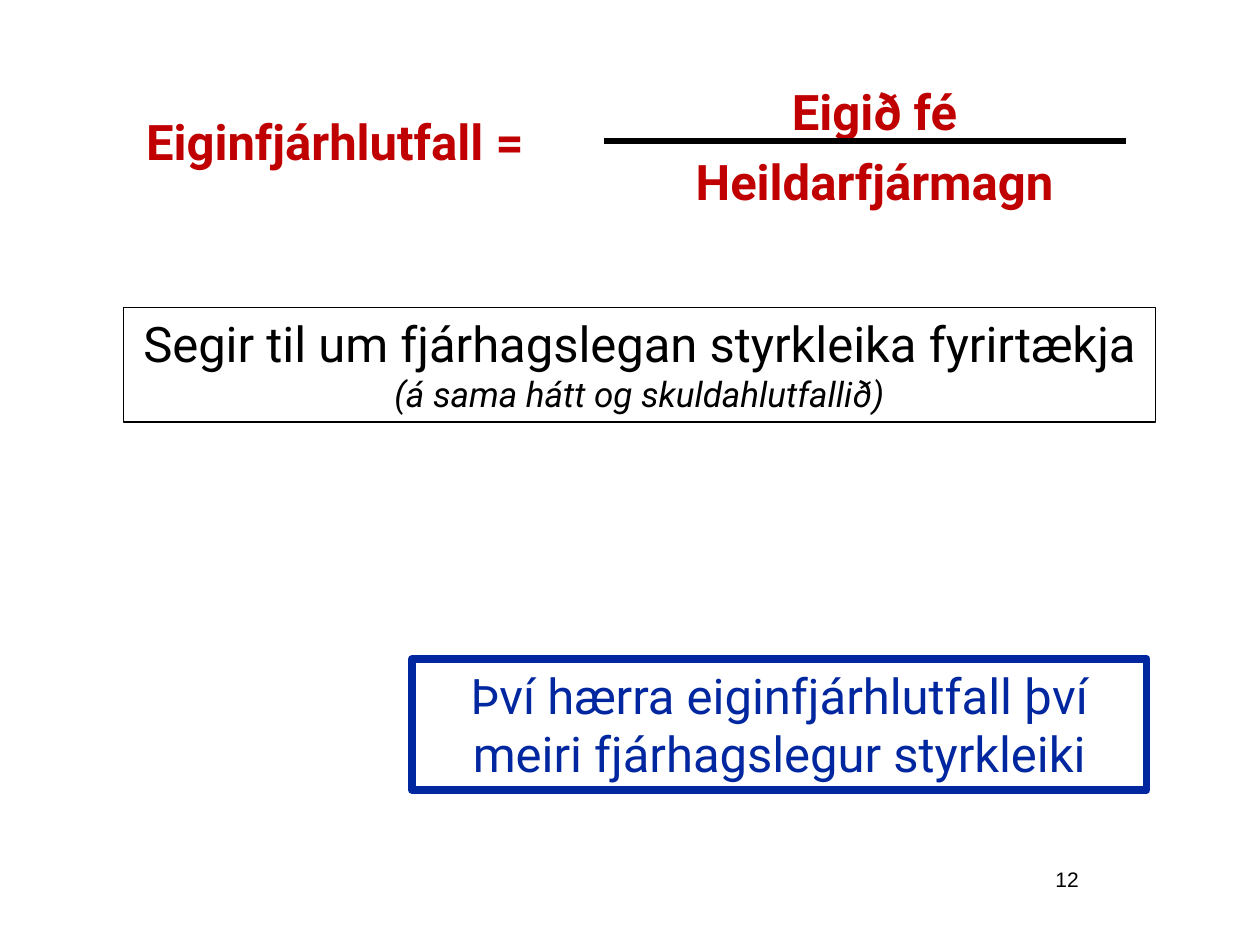
from dataclasses import dataclass

from lxml.etree import SubElement
from pptx import Presentation
from pptx.dml.color import RGBColor
from pptx.enum.shapes import MSO_CONNECTOR, MSO_SHAPE
from pptx.enum.text import MSO_ANCHOR as Anchor, MSO_AUTO_SIZE as AutoSize, PP_ALIGN as Align
from pptx.oxml.ns import qn
from pptx.util import Inches, Pt


@dataclass(frozen=True)
class Theme:
    formula: RGBColor = RGBColor(0xC0, 0x00, 0x00)
    accent: RGBColor = RGBColor(0x00, 0x27, 0x9F)
    ink: RGBColor = RGBColor(0x00, 0x00, 0x00)
    paper: RGBColor = RGBColor(0xFF, 0xFF, 0xFF)
    font: str = "Roboto"
    number_font: str = "Arial"
    main: int = 28
    aside: int = 20
    number: int = 12


theme = Theme()


def add_text(para, text, color=theme.ink, size=theme.main, font=theme.font,
             bold=False, italic=False, align=Align.CENTER):
    para.alignment = align
    span = para.add_run()
    span.text = text
    span.font.name = font
    span.font.size = Pt(size)
    span.font.bold = bold
    span.font.italic = italic
    span.font.color.rgb = color


def set_frame(box, anchor=Anchor.TOP, grow=True):
    """Wrap the text of a box and return its first paragraph."""
    frame = box.text_frame
    frame.word_wrap = True
    frame.auto_size = AutoSize.SHAPE_TO_FIT_TEXT if grow else AutoSize.NONE
    frame.vertical_anchor = anchor
    return frame.paragraphs[0]


deck = Presentation()
deck.slide_width, deck.slide_height = Inches(10), Inches(7.5)
page = deck.slides.add_slide(deck.slide_layouts[5])

# Formula: name on the left, fraction on the right
title = page.shapes.title
title.left, title.top = Inches(1.06), Inches(0.7)
title.width, title.height = Inches(8.22), Inches(0.84)
add_text(set_frame(title, Anchor.MIDDLE, grow=False), "Eiginfjárhlutfall =",
         color=theme.formula, bold=True, align=Align.LEFT)

fraction = page.shapes.add_group_shape()
for term, top in (("Eigið fé", 0.6), ("Heildarfjármagn", 1.15)):
    box = fraction.shapes.add_textbox(Inches(4.58), Inches(top), Inches(4.72), Inches(0.57))
    add_text(set_frame(box), term, color=theme.formula, bold=True)

bar = fraction.shapes.add_connector(
    MSO_CONNECTOR.STRAIGHT, Inches(4.79), Inches(1.12), Inches(8.94), Inches(1.12))
bar.line.color.rgb = theme.ink
bar.line.width = Pt(3)
SubElement(bar.element.spPr, qn("a:effectLst"))

# Meaning of the ratio
meaning = page.shapes.add_shape(
    MSO_SHAPE.RECTANGLE, Inches(0.98), Inches(2.44), Inches(8.19), Inches(0.91))
meaning.shadow.inherit = False
meaning.fill.solid()
meaning.fill.fore_color.rgb = theme.paper
meaning.line.color.rgb = theme.ink
meaning.line.width = Pt(0.75)
para = set_frame(meaning)
add_text(para, "Segir til um fjárhagslegan styrkleika fyrirtækja")
para.add_line_break()
add_text(para, "(á sama hátt og skuldahlutfallið)", size=theme.aside, italic=True)

# Conclusion
conclusion = page.shapes.add_shape(
    MSO_SHAPE.RECTANGLE, Inches(3.27), Inches(5.23), Inches(5.83), Inches(1.04))
conclusion.shadow.inherit = False
conclusion.fill.background()
conclusion.line.color.rgb = theme.accent
conclusion.line.width = Pt(4.5)
add_text(set_frame(conclusion),
         "Því hærra eiginfjárhlutfall því meiri fjárhagslegur styrkleiki",
         color=theme.accent)

number = page.shapes.add_textbox(Inches(6.58), Inches(6.83), Inches(2.08), Inches(0.5))
add_text(set_frame(number, grow=False), "12", size=theme.number,
         font=theme.number_font, align=Align.RIGHT)

deck.save("out.pptx")
